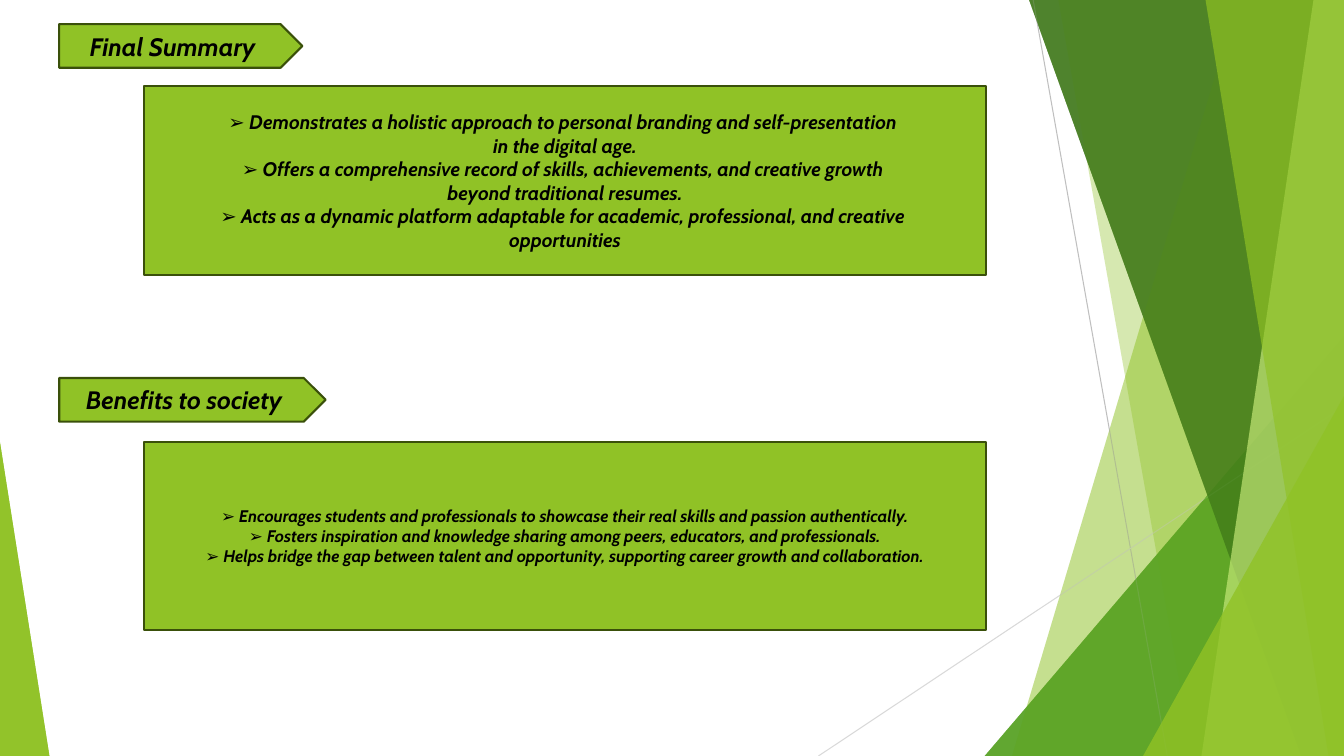
from lxml import etree
from pptx import Presentation
from pptx.dml.color import RGBColor
from pptx.enum import shapes, text
from pptx.oxml.ns import qn
from pptx.util import Pt

W, H = 960, 540
FONT = "Cabin"
COLORS = {
    "lime": "90C226", "green": "54A021", "forest": "3F7819", "pale": "C0E474",
    "border": "3A500A", "ink": "000000", "ray": "BFBFBF", "faint_ray": "D9D9D9",
}

# Corner points of each facet, its colour and its opacity in percent
FACETS = [
    ([(884.2, 0), (W, 0), (W, H), (722.9, H)], "lime", 30),
    ([(756, 0), (W, 0), (W, H), (851.8, H)], "lime", 20),
    ([(703.4, H), (W, 239.8), (W, H)], "green", 72),
    ([(735.1, 0), (W, 0), (W, H), (929.5, H)], "forest", 70),
    ([(938.2, 0), (W, 0), (W, H), (858.2, H)], "pale", 70),
    ([(861.1, 0), (W, 0), (W, H), (949, H)], "lime", 65),
    ([(816.5, H), (W, 283), (W, H)], "lime", 80),
    ([(0, H), (0, 316.1), (35.3, H)], "lime", 85),
]
RAYS = [
    ((738, 0), (833.8, H), "ray"),
    ((W, 290.2), (584.6, H), "faint_ray"),
]
SUMMARY = [
    "➢ Demonstrates a holistic approach to personal branding and self-presentation ",
    "in the digital age.",
    "➢ Offers a comprehensive record of skills, achievements, and creative growth ",
    "beyond traditional resumes.",
    "➢ Acts as a dynamic platform adaptable for academic, professional, and creative ",
    "opportunities",
]
BENEFITS = [
    "➢ Encourages students and professionals to showcase their real skills and passion authentically.",
    "➢ Fosters inspiration and knowledge sharing among peers, educators, and professionals.",
    "➢ Helps bridge the gap between talent and opportunity, supporting career growth and collaboration.",
]


def rgb(name):
    return RGBColor.from_string(COLORS[name])


def add_facets(s, left, top):
    for points, color, opacity in FACETS:
        corners = [(Pt(left + x), Pt(top + y)) for x, y in points]
        builder = s.shapes.build_freeform(*corners[0])
        builder.add_line_segments(corners[1:], close=True)
        sp = builder.convert_to_shape()
        sp.shadow.inherit = False
        sp.fill.solid()
        sp.fill.fore_color.rgb = rgb(color)
        sp.line.fill.background()
        srgb = sp.fill._xPr.find(f"{qn('a:solidFill')}/{qn('a:srgbClr')}")
        etree.SubElement(srgb, qn("a:alpha"), val=str(opacity * 1000))


def add_rays(s, left, top):
    for (x1, y1), (x2, y2), color in RAYS:
        ray = s.shapes.add_connector(
            shapes.MSO_CONNECTOR.STRAIGHT,
            Pt(left + x1), Pt(top + y1), Pt(left + x2), Pt(top + y2))
        ray.line.color.rgb = rgb(color)
        ray.line.width = Pt(0.75)
        etree.SubElement(ray._element.spPr, qn("a:effectLst"))


def add_backdrop(s, left, top):
    """Layer the facets twice, with the thin rays between the two layers."""
    add_facets(s, left, top)
    add_rays(s, left, top)
    add_facets(s, left, top)


def add_panel(s, kind, box, lines, size):
    sp = s.shapes.add_shape(kind, *(Pt(v) for v in box))
    sp.shadow.inherit = False
    sp.fill.solid()
    sp.fill.fore_color.rgb = rgb("lime")
    sp.line.color.rgb = rgb("border")
    sp.line.width = Pt(1.5)
    tf = sp.text_frame
    tf.word_wrap = True
    tf.vertical_anchor = text.MSO_ANCHOR.MIDDLE
    for i, line in enumerate(lines):
        p = tf.add_paragraph() if i else tf.paragraphs[0]
        p.alignment = text.PP_ALIGN.CENTER
        r = p.add_run()
        r.text = line
        r.font.name = FONT
        r.font.size = Pt(size)
        r.font.bold = r.font.italic = True
        r.font.color.rgb = rgb("ink")


def add_section(s, box, heading, heading_width, body_top, lines, size):
    """Place an arrow heading at the box's top left and a body at its bottom right."""
    left, top, width, height = box
    body_indent = 60.7
    add_panel(s, shapes.MSO_SHAPE.PENTAGON,
              (left, top, heading_width, 31.2), [heading], 18)
    add_panel(s, shapes.MSO_SHAPE.RECTANGLE,
              (left + body_indent, top + body_top,
               width - body_indent, height - body_top), lines, size)


def main():
    prs = Presentation()
    prs.slide_width, prs.slide_height = Pt(W), Pt(H)
    s = prs.slides.add_slide(prs.slide_layouts[6])
    add_backdrop(s, 0, 0)
    add_section(s, (42.3, 17.2, 661.9, 179.1), "Final Summary ", 173.7,
                44.4, SUMMARY, 14)
    add_section(s, (42.3, 270, 661.9, 180.2), "Benefits to society ", 190.3,
                45.5, BENEFITS, 12)
    prs.save("out.pptx")


if __name__ == "__main__":
    main()
